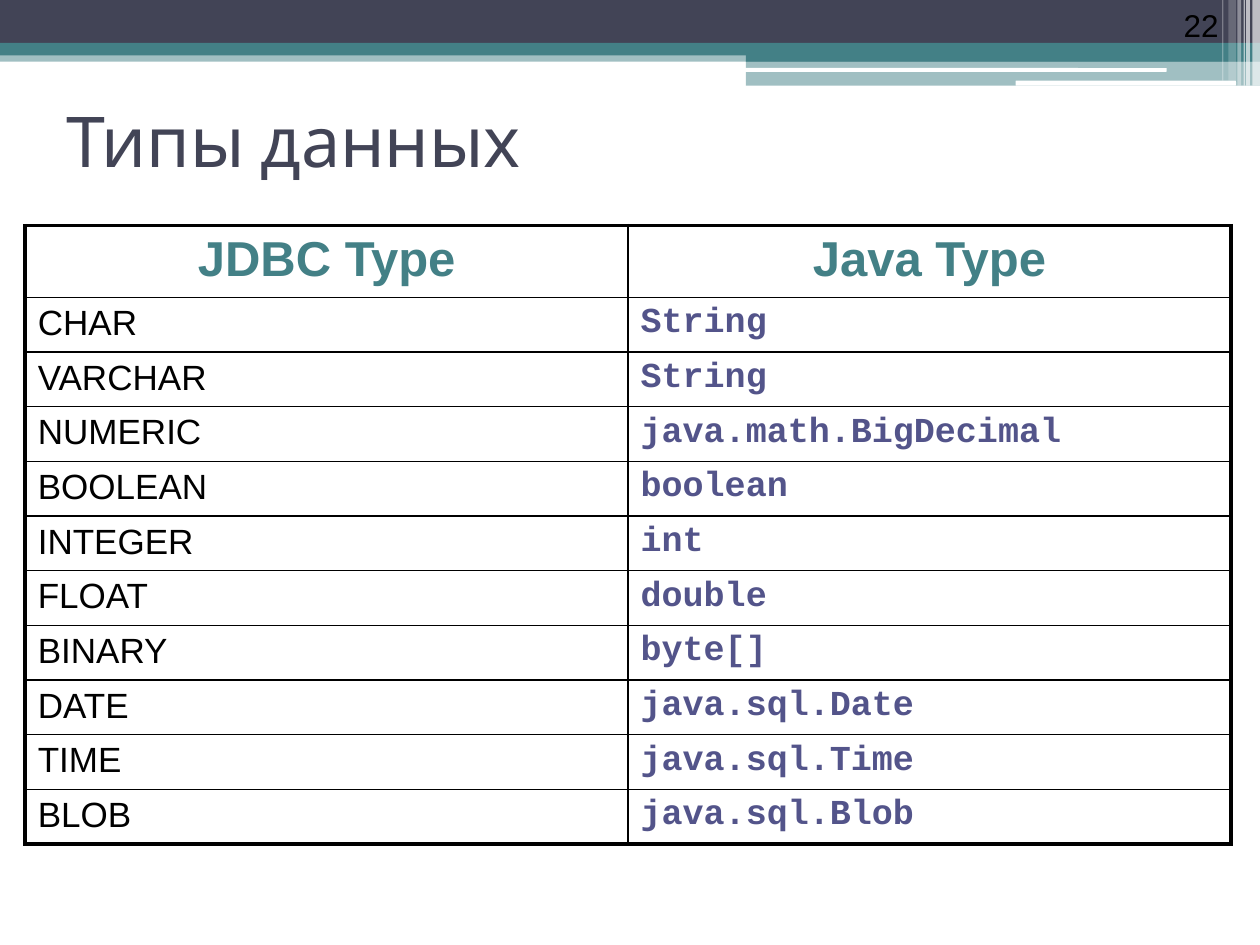
from lxml.etree import SubElement
from pptx import Presentation
from pptx.dml.color import RGBColor
from pptx.enum.shapes import MSO_SHAPE
from pptx.enum.text import MSO_ANCHOR, PP_ALIGN
from pptx.oxml.ns import qn
from pptx.util import Inches, Pt

COLORS = {"navy": "424456", "teal": "438086", "violet": "53548A",
          "white": "FFFFFF", "black": "000000"}
GRID_COLS, GRID_ROWS = 1000, 750
THICK, THIN = 2.25, 1

# left, top, width, height, colour, opacity in percent
BANDS = [
    (0, 40, 1000, 9, "teal", 50),
    (0, 0, 1000, 34, "navy", 100),
    (0, 34, 1000, 10, "teal", 100),
    (592, 39, 408, 10, "teal", 100),
    (592, 48, 408, 20, "teal", 50),
]
WHITE_BARS = [(591, 54, 335, 3), (806, 64, 175, 4)]
# left, width, height, opacity in percent
STRIPES = [(994, 6, 68, 65), (989, 3, 68, 65), (987, 1, 68, 60),
           (982, 3, 68, 40), (975, 6, 64, 20), (970, 1, 64, 30)]

HEADER = ("JDBC Type", "Java Type")
TYPES = [
    ("CHAR", "String"),
    ("VARCHAR", "String"),
    ("NUMERIC", "java.math.BigDecimal"),
    ("BOOLEAN", "boolean"),
    ("INTEGER", "int"),
    ("FLOAT", "double"),
    ("BINARY", "byte[]"),
    ("DATE", "java.sql.Date"),
    ("TIME", "java.sql.Time"),
    ("BLOB", "java.sql.Blob"),
]


def rgb(color):
    return RGBColor.from_string(COLORS[color])


class Deck:
    """Holds the presentation, its current slide and the grid."""

    def __init__(self):
        self.prs = Presentation()
        self.prs.slide_width, self.prs.slide_height = Inches(10), Inches(7.5)
        self.s = self.prs.slides.add_slide(self.prs.slide_layouts[6])

    def x(self, cols):
        return round(self.prs.slide_width * cols / GRID_COLS)

    def y(self, rows):
        return round(self.prs.slide_height * rows / GRID_ROWS)

    def box(self, left, top, width, height):
        return self.x(left), self.y(top), self.x(width), self.y(height)

    def bar(self, left, top, width, height, color, opacity=100,
            kind=MSO_SHAPE.RECTANGLE):
        sp = self.s.shapes.add_shape(kind, *self.box(left, top, width, height))
        sp.shadow.inherit = False
        sp.line.fill.background()
        sp.fill.solid()
        sp.fill.fore_color.rgb = rgb(color)
        if opacity < 100:
            clr = sp._element.spPr.find(".//" + qn("a:srgbClr"))
            SubElement(clr, qn("a:alpha"), val=str(opacity * 1000))

    def set_text(self, tf, text, size, color, font="Arial", bold=False,
                 align=PP_ALIGN.LEFT):
        p = tf.paragraphs[0]
        p.text, p.alignment = text, align
        p.font.name, p.font.size, p.font.bold = font, Pt(size), bold
        p.font.color.rgb = rgb(color)

    def text(self, box, text, size, color, anchor, **style):
        tf = self.s.shapes.add_textbox(*self.box(*box)).text_frame
        tf.word_wrap = True
        tf.vertical_anchor = anchor
        self.set_text(tf, text, size, color, **style)

    def borders(self, cell, **widths):
        """Draws the sides given as L, R, T, B, in points."""
        tc_pr = cell._tc.get_or_add_tcPr()
        for side, width in widths.items():
            ln = SubElement(tc_pr, qn(f"a:ln{side}"), w=str(Pt(width)))
            fill = SubElement(ln, qn("a:solidFill"))
            SubElement(fill, qn("a:srgbClr"), val=COLORS["black"])

    def table(self, box, rows, header_height, styles):
        """Fills a table; styles are those of the header and of each column."""
        header_style, *column_styles = styles
        last_row, last_col = len(rows) - 1, len(rows[0]) - 1
        table = self.s.shapes.add_table(
            len(rows), len(rows[0]), *self.box(*box)).table
        table.first_row = table.horz_banding = False
        body_height = (box[3] - header_height) / last_row
        for i, row in enumerate(rows):
            table.rows[i].height = self.y(body_height if i else header_height)
            for j, value in enumerate(row):
                cell = table.cell(i, j)
                self.borders(cell,
                             L=THIN if j else THICK,
                             R=THICK if j == last_col else THIN,
                             T=THIN if i else THICK,
                             B=THICK if i == last_row else THIN)
                cell.fill.background()
                style = column_styles[j] if i else header_style
                self.set_text(cell.text_frame, value, **style)


def main():
    deck = Deck()
    for band in BANDS:
        deck.bar(*band)
    for bar in WHITE_BARS:
        deck.bar(*bar, "white", kind=MSO_SHAPE.ROUNDED_RECTANGLE)
    for left, width, height, opacity in STRIPES:
        deck.bar(left, 0, width, height, "white", opacity)

    deck.text((43, 52, 900, 117), "Типы данных", 40, "navy",
              MSO_ANCHOR.MIDDLE, font="Cabin")
    deck.table((20, 179, 957, 490), [HEADER, *TYPES], 57, [
        dict(size=28, color="teal", bold=True, align=PP_ALIGN.CENTER),
        dict(size=20, color="black"),
        dict(size=20, color="violet", font="Courier New", bold=True),
    ])
    deck.text((894, 0, 83, 40), "22", 18, "black", MSO_ANCHOR.BOTTOM,
              align=PP_ALIGN.RIGHT)
    deck.prs.save("out.pptx")


if __name__ == "__main__":
    main()
